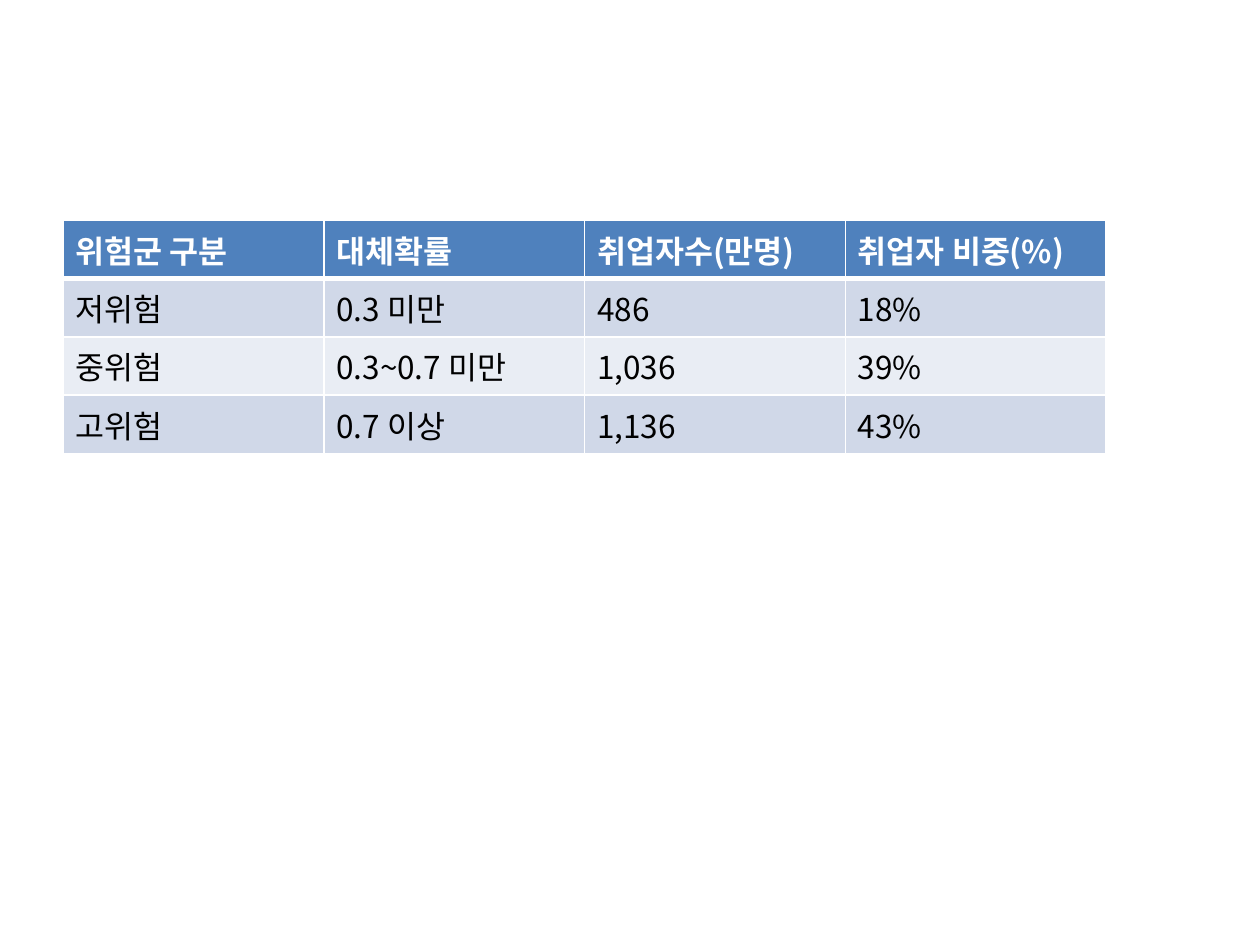
from lxml.etree import SubElement
from pptx import Presentation
from pptx.dml.color import RGBColor
from pptx.oxml.ns import qn
from pptx.util import Inches, Pt

FONT = "Noto Sans CJK KR"
COLORS = {
    "header": "4F81BD",
    "odd_row": "D0D8E8",
    "even_row": "E9EDF4",
    "border": "FFFFFF",
    "header_text": "FFFFFF",
    "body_text": "000000",
}
RISK_ROWS = [
    ["위험군 구분", "대체확률", "취업자수(만명)", "취업자 비중(%)"],
    ["저위험", "0.3 미만", "486", "18%"],
    ["중위험", "0.3~0.7 미만", "1,036", "39%"],
    ["고위험", "0.7 이상", "1,136", "43%"],
]
COLUMN_WIDTH = 2.07
ROW_HEIGHT = 0.41


def color(name):
    return RGBColor.from_string(COLORS[name])


def set_borders(cell, widths):
    """Draw solid borders; widths maps each side (L, R, T, B) to points."""
    properties = cell._tc.get_or_add_tcPr()
    for side, width in widths.items():
        line = SubElement(properties, qn(f"a:ln{side}"), w=str(Pt(width)))
        fill = SubElement(line, qn("a:solidFill"))
        SubElement(fill, qn("a:srgbClr"), val=COLORS["border"])


def write_cell(cell, text, is_header):
    para = cell.text_frame.paragraphs[0]
    span = para.add_run()
    span.text = text
    span.font.name = FONT
    span.font.size = Pt(18)
    span.font.bold = is_header
    span.font.color.rgb = color("header_text" if is_header else "body_text")
    # Korean text takes the East Asian font
    SubElement(span.font._element, qn("a:ea"), typeface=FONT)


def add_risk_table(page, left, top):
    row_count, column_count = len(RISK_ROWS), len(RISK_ROWS[0])
    table = page.shapes.add_table(
        row_count, column_count, Inches(left), Inches(top),
        Inches(COLUMN_WIDTH * column_count), Inches(ROW_HEIGHT * row_count),
    ).table
    for column in table.columns:
        column.width = Inches(COLUMN_WIDTH)
    for row_index, texts in enumerate(RISK_ROWS):
        table.rows[row_index].height = Inches(ROW_HEIGHT)
        is_header = row_index == 0
        band = "header" if is_header else "odd_row" if row_index % 2 else "even_row"
        # The rule under the header is heavier
        widths = {"L": 1, "R": 1, "T": 3 if row_index == 1 else 1, "B": 3 if is_header else 1}
        for column_index, text in enumerate(texts):
            cell = table.cell(row_index, column_index)
            set_borders(cell, widths)
            cell.fill.solid()
            cell.fill.fore_color.rgb = color(band)
            write_cell(cell, text, is_header)


def main():
    deck = Presentation()
    deck.slide_width, deck.slide_height = Inches(10), Inches(7.5)
    page = deck.slides.add_slide(deck.slide_layouts[6])
    # Risk groups by probability of replacement
    add_risk_table(page, 0.5, 1.75)
    deck.save("out.pptx")


if __name__ == "__main__":
    main()
